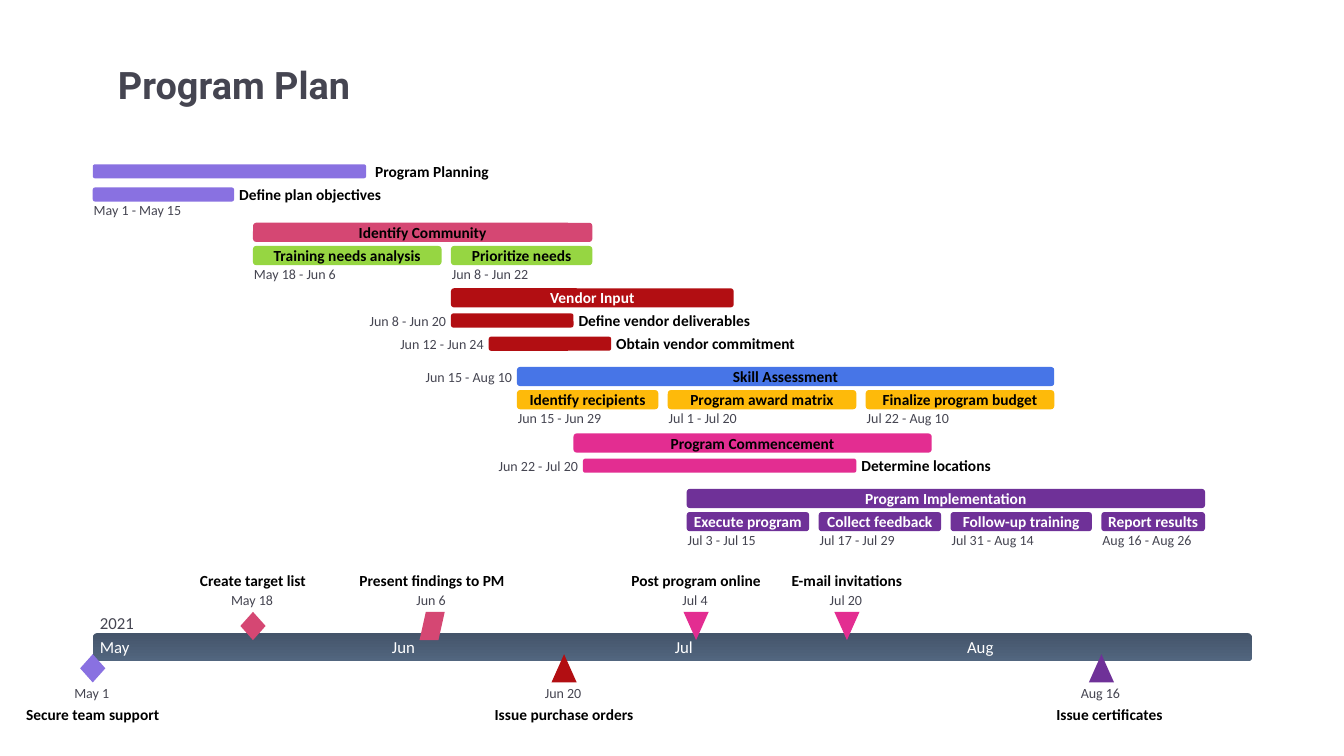
"""Build the Program Plan Gantt slide with its milestone timeline."""
from pptx import Presentation
from pptx.dml.color import RGBColor
from pptx.enum.shapes import MSO_SHAPE
from pptx.enum.text import MSO_ANCHOR, PP_ALIGN
from pptx.util import Inches, Pt

LEFT, CENTER, RIGHT = PP_ALIGN.LEFT, PP_ALIGN.CENTER, PP_ALIGN.RIGHT
MIDDLE, BOTTOM = MSO_ANCHOR.MIDDLE, MSO_ANCHOR.BOTTOM
ROUNDED, DIAMOND = MSO_SHAPE.ROUNDED_RECTANGLE, MSO_SHAPE.DIAMOND
SLANTED, TRIANGLE = MSO_SHAPE.PARALLELOGRAM, MSO_SHAPE.ISOSCELES_TRIANGLE

THEME = {
    "color": {
        "black": "000000", "white": "FFFFFF", "gray": "454551",
        "lilac": "8971E1", "rose": "D54773", "green": "96D642",
        "red": "B20E12", "blue": "4775E7", "amber": "FEBA0A",
        "pink": "E32D91", "purple": "6F3198",
        "slate": "44546A", "steel": "52667F",
    },
    "text": {
        "title": {"name": "Roboto", "size": Pt(27), "bold": True},
        "scale": {"name": "Calibri", "size": Pt(12), "bold": False},
        "task": {"name": "Calibri", "size": Pt(11), "bold": True},
        "date": {"name": "Calibri", "size": Pt(10), "bold": False},
    },
}
MONTHS = {"May": 0, "Jun": 31, "Jul": 61, "Aug": 92}
SCALE_X, SCALE_Y, SCALE_W, SCALE_H = 0.92, 6.28, 11.5, 0.28
DAY_W = SCALE_W / 123
THICK, THIN = 0.19, 0.14
TASK_H, DATE_H, MARK_W, MARK_H = 0.19, 0.17, 0.25, 0.28
NAME_GAPS = {"right": 0.05, "far right": 0.09}

# Columns: name, start, end, top, colour, name place, name colour, date place
TASKS = [
    ("Program Planning", "May 1", "May 29", 1.63, "lilac", "far right", "black", None),
    ("Define plan objectives", "May 1", "May 15", 1.86, "lilac", "right", "black", "below"),
    ("Identify Community", "May 18", "Jun 22", 2.21, "rose", "inside", "black", None),
    ("Training needs analysis", "May 18", "Jun 6", 2.44, "green", "inside", "black", "below"),
    ("Prioritize needs", "Jun 8", "Jun 22", 2.44, "green", "inside", "black", "below"),
    ("Vendor Input", "Jun 8", "Jul 7", 2.86, "red", "inside", "white", None),
    ("Define vendor deliverables", "Jun 8", "Jun 20", 3.11, "red", "right", "black", "left"),
    ("Obtain vendor commitment", "Jun 12", "Jun 24", 3.34, "red", "right", "black", "left"),
    ("Skill Assessment", "Jun 15", "Aug 10", 3.64, "blue", "inside", "black", "left"),
    ("Identify recipients", "Jun 15", "Jun 29", 3.87, "amber", "inside", "black", "below"),
    ("Program award matrix", "Jul 1", "Jul 20", 3.87, "amber", "inside", "black", "below"),
    ("Finalize program budget", "Jul 22", "Aug 10", 3.87, "amber", "inside", "black", "below"),
    ("Program Commencement", "Jun 21", "Jul 28", 4.3, "pink", "inside", "black", None),
    ("Determine locations", "Jun 22", "Jul 20", 4.55, "pink", "right", "black", "left"),
    ("Program Implementation", "Jul 3", "Aug 26", 4.85, "purple", "inside", "white", None),
    ("Execute program", "Jul 3", "Jul 15", 5.08, "purple", "inside", "white", "below"),
    ("Collect feedback", "Jul 17", "Jul 29", 5.08, "purple", "inside", "white", "below"),
    ("Follow-up training", "Jul 31", "Aug 14", 5.08, "purple", "inside", "white", "below"),
    ("Report results", "Aug 16", "Aug 26", 5.08, "purple", "inside", "white", "below"),
]
# Columns: name, date, marker, colour, side of the scale, name shift
MILESTONES = [
    ("Create target list", "May 18", DIAMOND, "rose", "above", 0),
    ("Present findings to PM", "Jun 6", SLANTED, "rose", "above", 0),
    ("Post program online", "Jul 4", TRIANGLE, "pink", "above", 0),
    ("E-mail invitations", "Jul 20", TRIANGLE, "pink", "above", 0),
    ("Issue purchase orders", "Jun 20", TRIANGLE, "red", "below", 0),
    ("Issue certificates", "Aug 16", TRIANGLE, "purple", "below", 0.08),
    ("Secure team support", "May 1", DIAMOND, "lilac", "below", 0),
]
MARK_TOPS = {"above": (6.07, 5.87, 5.66), "below": (6.49, 6.79, 6.99)}


def write(sp, text, style, color, align=LEFT, anchor=MIDDLE, inset=0):
    """Put one formatted line of text into a shape."""
    tf = sp.text_frame
    margins = {f"margin_{side}": Inches(inset) for side in ("left", "top", "right", "bottom")}
    for key, value in {**margins, "word_wrap": True, "vertical_anchor": anchor}.items():
        setattr(tf, key, value)
    p = tf.paragraphs[0]
    p.alignment = align
    r = p.add_run()
    r.text = text
    for key, value in THEME["text"][style].items():
        setattr(r.font, key, value)
    r.font.color.rgb = RGBColor.from_string(THEME["color"][color])


def date_x(date):
    """Return the place of a date on the time scale, in inches."""
    month, day = date.split()
    return SCALE_X + (MONTHS[month] + int(day) - 1) * DAY_W


prs = Presentation()
prs.slide_width, prs.slide_height = Inches(13.33), Inches(7.5)
s = prs.slides.add_slide(prs.slide_layouts[5])
shapes = s.shapes

title = shapes.title
title.left, title.top, title.width, title.height = map(Inches, (1.07, 0.39, 5.22, 0.77))
write(title, "Program Plan", "title", "gray", anchor=BOTTOM, inset=0.1)

scale = shapes.add_shape(ROUNDED, *map(Inches, (SCALE_X, SCALE_Y, SCALE_W, SCALE_H)))
scale.shadow.inherit = False
scale.line.fill.background()
scale.fill.gradient()
scale.fill.gradient_angle = 270
for stop, color in zip(scale.fill.gradient_stops, ("slate", "steel")):
    stop.color.rgb = RGBColor.from_string(THEME["color"][color])

scale_labels = [(month, f"{month} 1", 6.32, "white") for month in MONTHS]
for text, date, top, color in scale_labels + [("2021", "May 1", 6.08, "gray")]:
    label = shapes.add_textbox(*map(Inches, (date_x(date) + 0.07, top, 0.5, 0.19)))
    write(label, text, "scale", color)

for name, start, end, top, color, name_place, name_color, date_place in TASKS:
    x, right = date_x(start), date_x(end) + DAY_W
    h = THICK if name_place == "inside" else THIN
    bar = shapes.add_shape(ROUNDED, *map(Inches, (x, top, right - x, h)))
    bar.shadow.inherit = False
    bar.fill.solid()
    bar.fill.fore_color.rgb = RGBColor.from_string(THEME["color"][color])
    bar.line.fill.background()
    if name_place == "inside":
        write(bar, name, "task", name_color, CENTER)
    else:
        name_x = right + NAME_GAPS[name_place]
        label = shapes.add_textbox(*map(Inches, (name_x, top + (h - TASK_H) / 2, 1.9, TASK_H)))
        write(label, name, "task", name_color)
    if date_place:
        below = date_place == "below"
        date_left = x + 0.01 if below else x - 1.05
        date_top = top + h if below else top + (h - DATE_H) / 2
        label = shapes.add_textbox(*map(Inches, (date_left, date_top, 1, DATE_H)))
        write(label, f"{start} - {end}", "date", "gray", LEFT if below else RIGHT)

for name, date, kind, color, side, shift in MILESTONES:
    x = date_x(date)
    mark_top, date_top, name_top = MARK_TOPS[side]
    mark = shapes.add_shape(kind, *map(Inches, (x - MARK_W / 2, mark_top, MARK_W, MARK_H)))
    mark.shadow.inherit = False
    mark.fill.solid()
    mark.fill.fore_color.rgb = RGBColor.from_string(THEME["color"][color])
    mark.line.fill.background()
    if kind == TRIANGLE and side == "above":
        mark.rotation = 180
    for text, style, ink, center, top, w, h in (
        (date, "date", "gray", x - 0.01, date_top, 0.6, DATE_H),
        (name, "task", "black", x + shift, name_top, 1.48, TASK_H),
    ):
        label = shapes.add_textbox(*map(Inches, (center - w / 2, top, w, h)))
        write(label, text, style, ink, CENTER)

prs.save("out.pptx")
